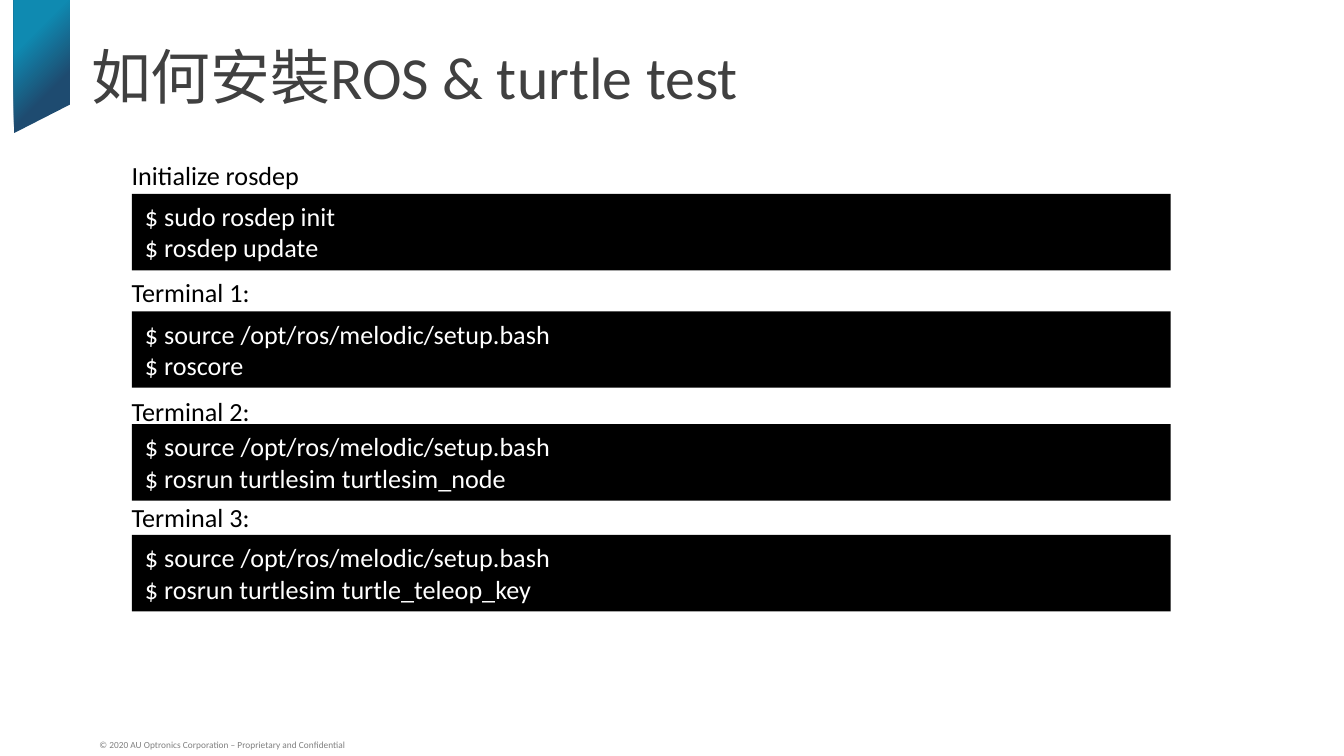
from typing import NamedTuple

from lxml.etree import SubElement
from pptx import Presentation
from pptx.dml.color import RGBColor
from pptx.enum.shapes import MSO_SHAPE as Shape
from pptx.enum.text import MSO_ANCHOR as Anchor, PP_ALIGN as Align
from pptx.oxml.ns import qn
from pptx.util import Pt

FONT = "Calibri"
LEFT, BLOCK_WIDTH, BLOCK_HEIGHT = 70.6, 556.6, 41
LABEL_LEFT, LABEL_WIDTH, LABEL_HEIGHT = 63.4, 131, 24.2
SOURCE = "$ source /opt/ros/melodic/setup.bash"


class Step(NamedTuple):
    label: str
    label_top: float
    block_top: float
    commands: tuple[str, ...]


STEPS = (
    Step("Initialize rosdep", 82.1, 103.9,
         ("$ sudo rosdep init", "$ rosdep update")),
    Step("Terminal 1:", 144.7, 166.8, (SOURCE, "$ roscore")),
    Step("Terminal 2:", 208.1, 227.3,
         (SOURCE, "$ rosrun turtlesim turtlesim_node")),
    Step("Terminal 3:", 265.2, 286.6,
         (SOURCE, "$ rosrun turtlesim turtle_teleop_key")),
)


def color(value: str) -> RGBColor:
    return RGBColor.from_string(value)


def write(shape, lines: tuple[str, ...], size: float, tint: str,
          anchor=Anchor.TOP) -> None:
    frame = shape.text_frame
    frame.word_wrap = True
    frame.vertical_anchor = anchor
    for index, line in enumerate(lines):
        para = frame.add_paragraph() if index else frame.paragraphs[0]
        para.alignment = Align.LEFT
        span = para.add_run()
        span.text = line
        span.font.name = FONT
        span.font.size = Pt(size)
        span.font.color.rgb = color(tint)


def add_text(page, left: float, top: float, width: float, height: float,
             text: str, size: float, tint: str, anchor=Anchor.TOP):
    box = page.shapes.add_textbox(Pt(left), Pt(top), Pt(width), Pt(height))
    write(box, (text,), size, tint, anchor)
    return box


def add_step(page, step: Step) -> None:
    block = page.shapes.add_shape(Shape.RECTANGLE, Pt(LEFT), Pt(step.block_top),
                                  Pt(BLOCK_WIDTH), Pt(BLOCK_HEIGHT))
    block.shadow.inherit = False
    block.fill.solid()
    block.fill.fore_color.rgb = color("000000")
    block.line.fill.background()
    write(block, step.commands, 14, "FFFFFF")
    add_text(page, LABEL_LEFT, step.label_top, LABEL_WIDTH, LABEL_HEIGHT,
             step.label, 14, "000000")


def add_ribbon(page) -> None:
    builder = page.shapes.build_freeform(Pt(7.5), Pt(71.3), scale=1.0)
    builder.add_line_segments([(Pt(37.5), Pt(56)), (Pt(37.5), Pt(-6.5)),
                               (Pt(7.5), Pt(-6.5))], close=True)
    ribbon = builder.convert_to_shape()
    ribbon.shadow.inherit = False
    ribbon.line.fill.background()
    ribbon.fill.gradient()
    stops = zip(ribbon.fill.gradient_stops, ((0.32, "0F8AB1"), (0.7, "1E4B70")))
    for stop, (position, tint) in stops:
        stop.position = position
        stop.color.rgb = color(tint)
    # Radial gradient spreading from the top left corner
    gradient = ribbon.element.spPr.find(qn("a:gradFill"))
    gradient.remove(gradient.find(qn("a:lin")))
    radial = SubElement(gradient, qn("a:path"), path="circle")
    SubElement(radial, qn("a:fillToRect"), r="100000", b="100000")


def main() -> None:
    deck = Presentation()
    deck.slide_width, deck.slide_height = Pt(720), Pt(405)
    page = deck.slides.add_slide(deck.slide_layouts[6])

    # Ribbon, footer and title
    add_ribbon(page)
    footer = add_text(page, 47.5, 392.4, 270, 13,
                      "© 2020 AU Optronics Corporation – Proprietary and Confidential",
                      5, "808080", Anchor.BOTTOM)
    footer.text_frame.margin_left = footer.text_frame.margin_right = Pt(5.76)
    footer.text_frame.paragraphs[0].line_spacing = 0.8
    add_text(page, 41.8, 18, 580.3, 92.2, "如何安裝ROS & turtle test", 32, "404040")

    # Labelled command blocks
    for step in STEPS:
        add_step(page, step)

    deck.save("out.pptx")


if __name__ == "__main__":
    main()
